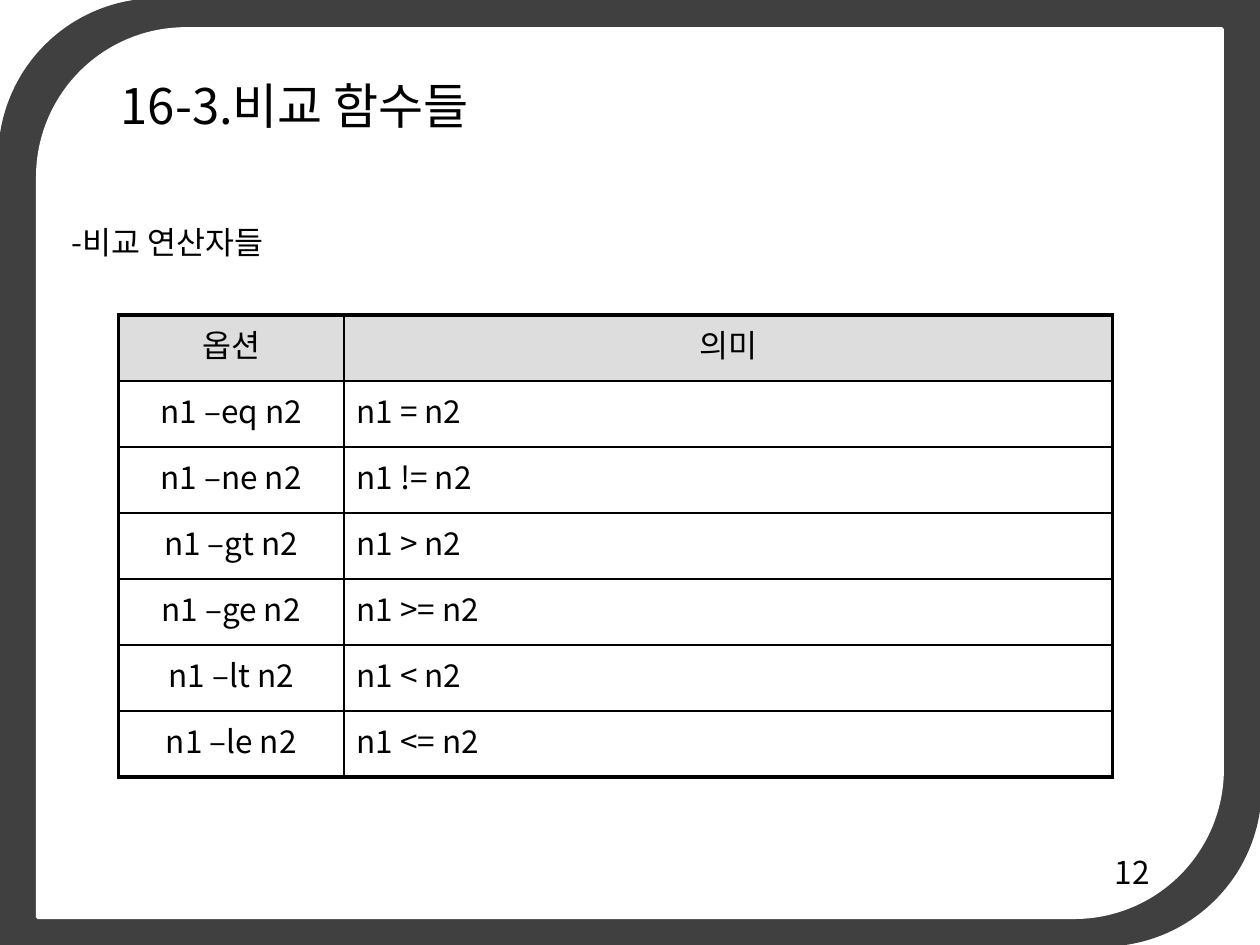
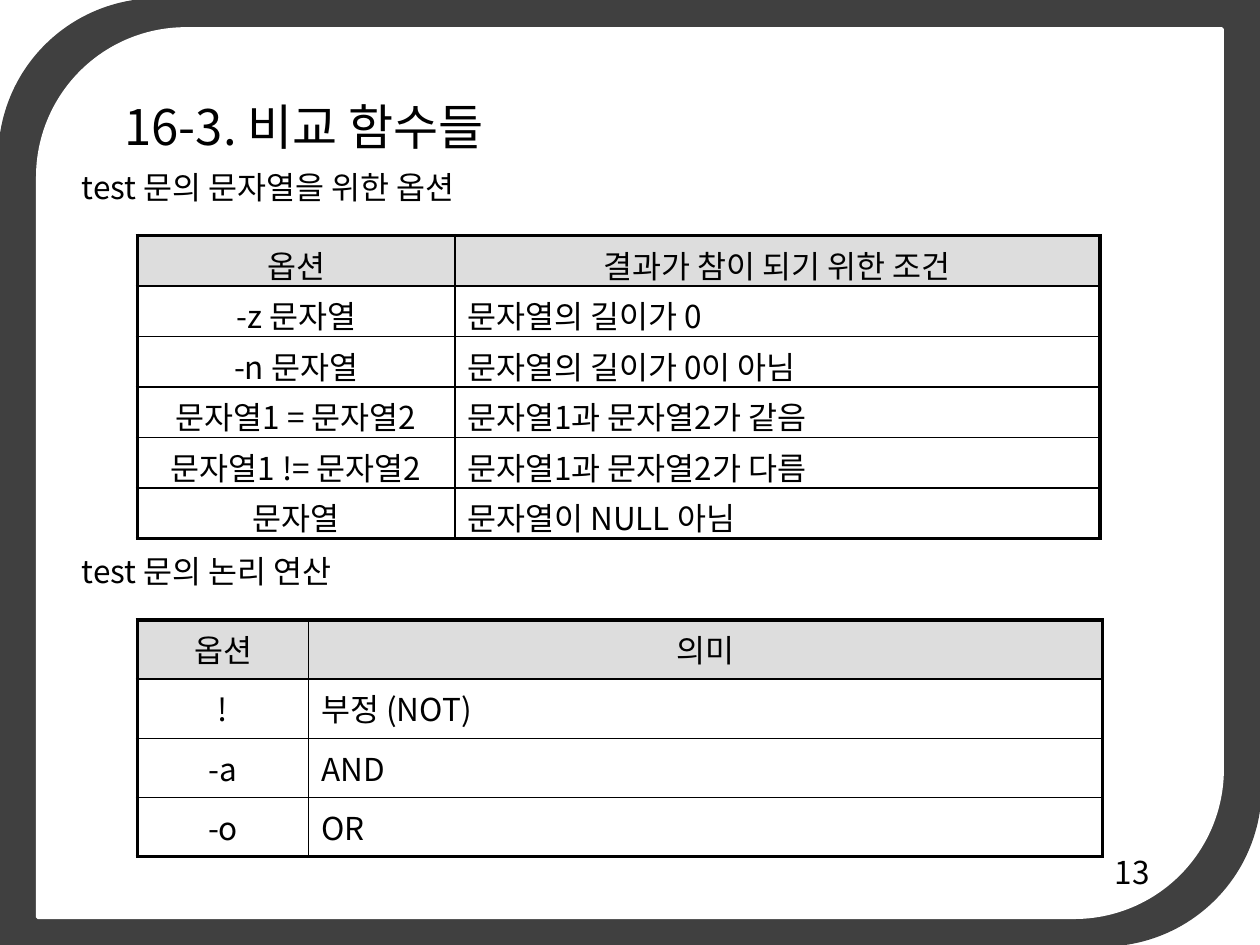
"""Build two slides of comparison tables for shell test expressions."""
from dataclasses import dataclass

from lxml.etree import SubElement
from pptx import Presentation
from pptx.dml.color import RGBColor
from pptx.enum.shapes import MSO_SHAPE as Preset
from pptx.enum.text import MSO_AUTO_SIZE as AutoSize, PP_ALIGN as Align
from pptx.oxml import parse_xml
from pptx.oxml.ns import nsdecls, qn
from pptx.util import Inches, Pt


@dataclass(frozen=True)
class Theme:
    font: str = "Noto Sans CJK KR"
    ink: str = "000000"
    band: str = "404040"
    paper: str = "FFFFFF"
    header: str = "DDDDDD"
    title_size: int = 28
    body_size: int = 18
    outer_line: float = 2.25
    inner_line: float = 1
    hanging: float = 3.8


theme = Theme()
presentation = Presentation()
presentation.slide_width, presentation.slide_height = Inches(10), Inches(7.5)
COLUMN = presentation.slide_width / 100
ROW = presentation.slide_height / 75


def style_paragraph(paragraph, text, size, align=Align.LEFT):
    paragraph.text = text
    paragraph.alignment = align
    for run in paragraph.runs:
        run.font.size = Pt(size)
        run.font.name = theme.font
        run.font.color.rgb = RGBColor.from_string(theme.ink)
        SubElement(run.font._element, qn("a:ea")).set("typeface", theme.font)


def add_text(slide, text, box, size=theme.body_size, wrap=True, hanging=False, fit=True):
    left, top, width, height = box
    shape = slide.shapes.add_textbox(
        int(left * COLUMN), int(top * ROW), int(width * COLUMN), int(height * ROW))
    frame = shape.text_frame
    frame.word_wrap = wrap
    if fit:
        frame.auto_size = AutoSize.SHAPE_TO_FIT_TEXT
    else:
        frame.auto_size = AutoSize.NONE
        frame.margin_top = 0
    paragraph = frame.paragraphs[0]
    style_paragraph(paragraph, text, size)
    if hanging:
        properties = paragraph._p.get_or_add_pPr()
        properties.set("marL", str(int(theme.hanging * COLUMN)))
        properties.set("indent", str(-int(theme.hanging * COLUMN)))


frames = [((0, 0, 100, 75), theme.band), ((3, 2.3, 94, 70.5), theme.paper)]

pages = [
    {
        "number": "12",
        "title": ("16-3.비교 함수들", (8.6, 5.5, 34.8, 5.7)),
        "captions": [("-비교 연산자들", (4.7, 17.2, 87.1, 4), True)],
        "tables": [
            {"at": (9.4, 25), "columns": (17.9, 61), "rows": [5.24] * 7, "height": 36.7,
             "cells": [("옵션", "의미"), ("n1 –eq n2", "n1 = n2"),
                       ("n1 –ne n2", "n1 != n2"), ("n1 –gt n2", "n1 > n2"),
                       ("n1 –ge n2", "n1 >= n2"), ("n1 –lt n2", "n1 < n2"),
                       ("n1 –le n2", "n1 <= n2")]},
        ],
    },
    {
        "number": "13",
        "title": ("16-3. 비교 함수들", (8.9, 7.2, 36.1, 5.7)),
        "captions": [("test 문의 문자열을 위한 옵션", (5.5, 13.3, 53.5, 5), False),
                     ("test 문의 논리 연산", (5.5, 43.8, 34.7, 5), False)],
        "tables": [
            {"at": (10.9, 18.7), "columns": (25.2, 51.2), "rows": [0] + [4] * 5, "height": 24,
             "cells": [("옵션", "결과가 참이 되기 위한 조건"),
                       ("-z 문자열", "문자열의 길이가 0"),
                       ("-n 문자열", "문자열의 길이가 0이 아님"),
                       ("문자열1 = 문자열2", "문자열1과 문자열2가 같음"),
                       ("문자열1 != 문자열2", "문자열1과 문자열2가 다름"),
                       ("문자열", "문자열이 NULL 아님")]},
            {"at": (10.9, 49.2), "columns": (13.6, 63), "rows": [4.7] * 4, "height": 18.8,
             "cells": [("옵션", "의미"), ("!", "부정 (NOT)"), ("-a", "AND"), ("-o", "OR")]},
        ],
    },
]

for page in pages:
    slide = presentation.slides.add_slide(presentation.slide_layouts[6])

    for (left, top, width, height), color in frames:
        shape = slide.shapes.add_shape(
            Preset.ROUND_2_DIAG_RECTANGLE,
            int(left * COLUMN), int(top * ROW), int(width * COLUMN), int(height * ROW))
        shape.shadow.inherit = False
        shape.fill.solid()
        shape.fill.fore_color.rgb = RGBColor.from_string(color)
        shape.line.color.rgb = RGBColor.from_string(color)
        shape.line.width = Pt(2)

    title, box = page["title"]
    add_text(slide, title, box, theme.title_size, wrap=False, hanging=True)
    for caption, box, hanging in page["captions"]:
        add_text(slide, caption, box, hanging=hanging, fit=hanging)

    for grid in page["tables"]:
        left, top = grid["at"]
        last_row, last_column = len(grid["rows"]) - 1, len(grid["columns"]) - 1
        table_frame = slide.shapes.add_table(
            last_row + 1, last_column + 1, int(left * COLUMN), int(top * ROW),
            int(sum(grid["columns"]) * COLUMN), int(grid["height"] * ROW))
        table = table_frame.table
        table.first_row = table.horz_banding = False
        for column, width in zip(table.columns, grid["columns"]):
            column.width = int(width * COLUMN)
        for row, height in zip(table.rows, grid["rows"]):
            row.height = int(height * ROW)
        table_frame.height = int(grid["height"] * ROW)

        for row_index, texts in enumerate(grid["cells"]):
            for column_index, text in enumerate(texts):
                cell = table.cell(row_index, column_index)
                centred = row_index == 0 or column_index == 0
                paragraph = cell.text_frame.paragraphs[0]
                style_paragraph(paragraph, text, theme.body_size,
                                Align.CENTER if centred else Align.LEFT)
                paragraph._p.get_or_add_pPr().insert(0, parse_xml(
                    f'<a:spcBef {nsdecls("a")}><a:spcPct val="20000"/></a:spcBef>'))
                if row_index == 0:
                    cell.fill.solid()
                    cell.fill.fore_color.rgb = RGBColor.from_string(theme.header)
                else:
                    cell.fill.background()
                edges = {"L": column_index == 0, "R": column_index == last_column,
                         "T": row_index == 0, "B": row_index == last_row}
                for position, (side, outer) in enumerate(edges.items()):
                    width = Pt(theme.outer_line if outer else theme.inner_line)
                    cell._tc.get_or_add_tcPr().insert(position, parse_xml(
                        f'<a:ln{side} {nsdecls("a")} w="{width}"><a:solidFill>'
                        f'<a:srgbClr val="{theme.ink}"/></a:solidFill></a:ln{side}>'))

    add_text(slide, page["number"], (87.5, 67.2, 12.5, 4))

presentation.save("out.pptx")
